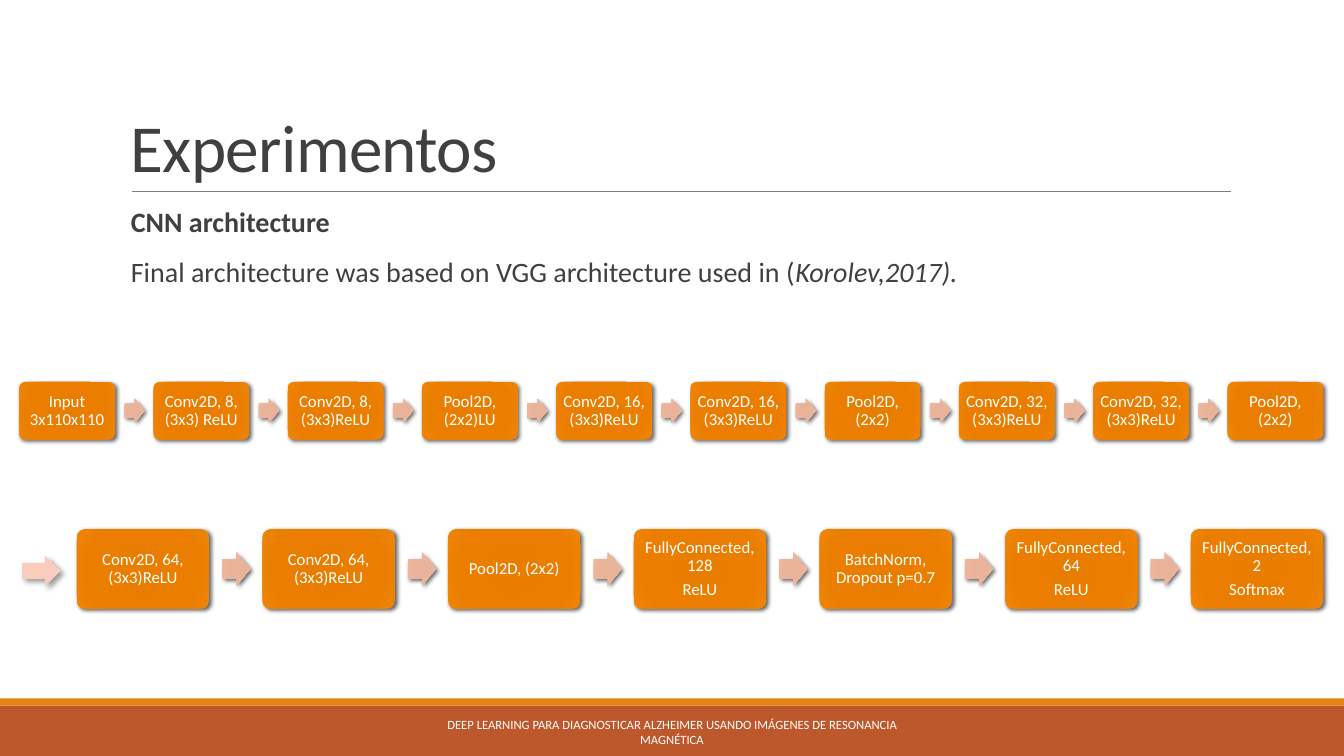
from dataclasses import dataclass

from pptx import Presentation
from pptx.dml.color import RGBColor
from pptx.enum.shapes import MSO_CONNECTOR, MSO_SHAPE
from pptx.enum.text import MSO_ANCHOR, PP_ALIGN
from pptx.oxml import parse_xml
from pptx.oxml.ns import nsdecls, qn
from pptx.util import Inches, Pt

RECTANGLE = MSO_SHAPE.RECTANGLE
ROUNDED = MSO_SHAPE.ROUNDED_RECTANGLE
ARROW = MSO_SHAPE.RIGHT_ARROW
STRAIGHT = MSO_CONNECTOR.STRAIGHT
TOP, MIDDLE, BOTTOM = MSO_ANCHOR.TOP, MSO_ANCHOR.MIDDLE, MSO_ANCHOR.BOTTOM
LEFT, CENTER = PP_ALIGN.LEFT, PP_ALIGN.CENTER

CELL = Inches(0.1)  # side of one grid cell; the slide has 133.3 columns and 75 rows
COLUMNS, ROWS = 133.3, 75


@dataclass(frozen=True)
class Theme:
    font: str = "Calibri"
    dark: str = "404040"
    light: str = "FFFFFF"
    rule: str = "808080"
    footer_bar: str = "BD582C"
    footer_stripe: str = "E48312"
    entry_arrow: str = "FBCCBE"
    layer: tuple = ((0, "E57B00"), (34, "E87D00"), (70, "EB7E00"), (100, "EF8407"))
    arrow: tuple = ((0, "E8B196"), (34, "E9B399"), (70, "EEB59A"), (100, "F3C0A8"))
    title_size: int = 48
    body_size: int = 20
    layer_size: int = 12
    footer_size: int = 9


def cells(*counts):
    return [round(count * CELL) for count in counts]


class SlideBuilder:
    def __init__(self, slide, theme):
        self.slide = slide
        self.theme = theme

    def shape(self, kind, box, fill):
        """Add a shape without outline; fill is a colour or a tuple of gradient stops."""
        shape = self.slide.shapes.add_shape(kind, *cells(*box))
        shape.shadow.inherit = False
        shape.line.fill.background()
        if isinstance(fill, str):
            shape.fill.solid()
            shape.fill.fore_color.rgb = RGBColor.from_string(fill)
        else:
            shape.fill.gradient()
            self.radial_gradient(shape, fill)
        return shape

    def radial_gradient(self, shape, stops):
        stop_list = "".join(
            f'<a:gs pos="{position * 1000}"><a:srgbClr val="{color}"/></a:gs>'
            for position, color in stops)
        properties = shape.element.spPr
        properties.replace(properties.find(qn("a:gradFill")), parse_xml(
            f'<a:gradFill {nsdecls("a")} rotWithShape="1"><a:gsLst>{stop_list}</a:gsLst>'
            '<a:path path="circle"><a:fillToRect l="100000" t="100000" r="100000" b="100000"/>'
            '</a:path></a:gradFill>'))

    def shadow(self, shape, opacity=60, blur=3, distance=2):
        effects = shape.element.spPr.find(qn("a:effectLst"))
        effects.append(parse_xml(
            f'<a:outerShdw {nsdecls("a")} blurRad="{Pt(blur)}" dist="{Pt(distance)}" '
            f'dir="2700000" algn="ctr" rotWithShape="0"><a:srgbClr val="000000">'
            f'<a:alpha val="{opacity * 1000}"/></a:srgbClr></a:outerShdw>'))

    def line(self, start, end):
        connector = self.slide.shapes.add_connector(STRAIGHT, *cells(*start, *end))
        connector.line.color.rgb = RGBColor.from_string(self.theme.rule)
        connector.line.width = Pt(0.5)
        connector.element.spPr.append(parse_xml(f'<a:effectLst {nsdecls("a")}/>'))

    def set_text(self, shape, paragraphs, size, color, align=LEFT, anchor=TOP,
                 spacing=1.0, before=0, after=0):
        """Fill a shape with paragraphs, each a list of (text, bold, italic) runs."""
        frame = shape.text_frame
        frame.word_wrap = True
        frame.vertical_anchor = anchor
        frame.text = "\n".join("" for _ in paragraphs)
        for paragraph, runs in zip(frame.paragraphs, paragraphs):
            paragraph.alignment = align
            paragraph.line_spacing = spacing
            paragraph.space_before, paragraph.space_after = Pt(before), Pt(after)
            for text, bold, italic in runs:
                run = paragraph.add_run()
                run.text = text
                font = run.font
                font.name, font.size = self.theme.font, Pt(size)
                font.bold, font.italic = bold, italic
                font.color.rgb = RGBColor.from_string(color)

    def text(self, box, paragraphs, size, color, **layout):
        text_box = self.slide.shapes.add_textbox(*cells(*box))
        self.set_text(text_box, paragraphs, size, color, **layout)
        return text_box

    def layer(self, box, label):
        shape = self.shape(ROUNDED, box, self.theme.layer)
        shape.adjustments[0] = 0.1
        self.shadow(shape)
        self.set_text(shape, [[(line, False, False)] for line in label.split("\n")],
                      self.theme.layer_size, self.theme.light,
                      align=CENTER, anchor=MIDDLE, spacing=0.9, after=4.2)
        frame = shape.text_frame
        frame.margin_left = frame.margin_right = Inches(0.05)
        frame.margin_top = frame.margin_bottom = Inches(0.05)

    def flow(self, left, right, middle, labels):
        """Spread layers from left to right, with an arrow in each gap of 0.4 layer widths."""
        width = (right - left) / (1.4 * len(labels) - 0.4)
        height = 0.6 * width
        arrow_width, arrow_height = 0.21 * width, 0.25 * width
        for index, label in enumerate(labels):
            x = left + 1.4 * width * index
            if index:
                arrow = self.shape(ARROW, (x - 0.3 * width, middle - arrow_height / 2,
                                           arrow_width, arrow_height), self.theme.arrow)
                arrow.adjustments[0] = 0.6
                self.shadow(arrow)
            self.layer((x, middle - height / 2, width, height), label)


def main():
    theme = Theme()
    presentation = Presentation()
    presentation.slide_width, presentation.slide_height = cells(COLUMNS, ROWS)
    slide = presentation.slides.add_slide(presentation.slide_layouts[6])
    builder = SlideBuilder(slide, theme)

    builder.shape(RECTANGLE, (0, 70, COLUMNS, 5), theme.footer_bar)
    builder.shape(RECTANGLE, (0, 69.3, COLUMNS, 0.7), theme.footer_stripe)
    builder.line((13.1, 19), (122.1, 19))

    title = builder.text((12, 3.1, 110, 15.9), [[("Experimentos", False, False)]],
                         theme.title_size, theme.dark, anchor=BOTTOM, spacing=0.85)
    for properties in title.element.iter(qn("a:rPr")):
        properties.set("spc", "-50")
    builder.text((12, 20.2, 110, 10), [
        [("CNN architecture", True, False)],
        [("Final architecture was based on VGG architecture used in (", False, False),
         ("Korolev,2017).", False, True)],
    ], theme.body_size, theme.dark, spacing=0.9, before=12, after=2)
    builder.text((40.3, 70.6, 52.7, 4), [[(
        "DEEP LEARNING PARA DIAGNOSTICAR ALZHEIMER USANDO IMÁGENES DE RESONANCIA MAGNÉTICA",
        False, False)]], theme.footer_size, theme.light, align=CENTER, anchor=MIDDLE)

    builder.flow(1.9, 131.25, 40.75, [
        "Input 3x110x110", "Conv2D, 8, (3x3) ReLU", "Conv2D, 8, (3x3)ReLU",
        "Pool2D, (2x2)LU", "Conv2D, 16, (3x3)ReLU", "Conv2D, 16, (3x3)ReLU",
        "Pool2D, (2x2)", "Conv2D, 32, (3x3)ReLU", "Conv2D, 32, (3x3)ReLU",
        "Pool2D, (2x2)"])
    builder.flow(7.6, 131.25, 56.45, [
        "Conv2D, 64, (3x3)ReLU", "Conv2D, 64, (3x3)ReLU", "Pool2D, (2x2)",
        "FullyConnected, 128\nReLU", "BatchNorm, Dropout p=0.7",
        "FullyConnected, 64\nReLU", "FullyConnected, 2\nSoftmax"])
    entry = builder.shape(ARROW, (2.2, 55.1, 3.8, 3.1), theme.entry_arrow)
    builder.shadow(entry, opacity=40, blur=4, distance=3)

    presentation.save("out.pptx")


if __name__ == "__main__":
    main()
